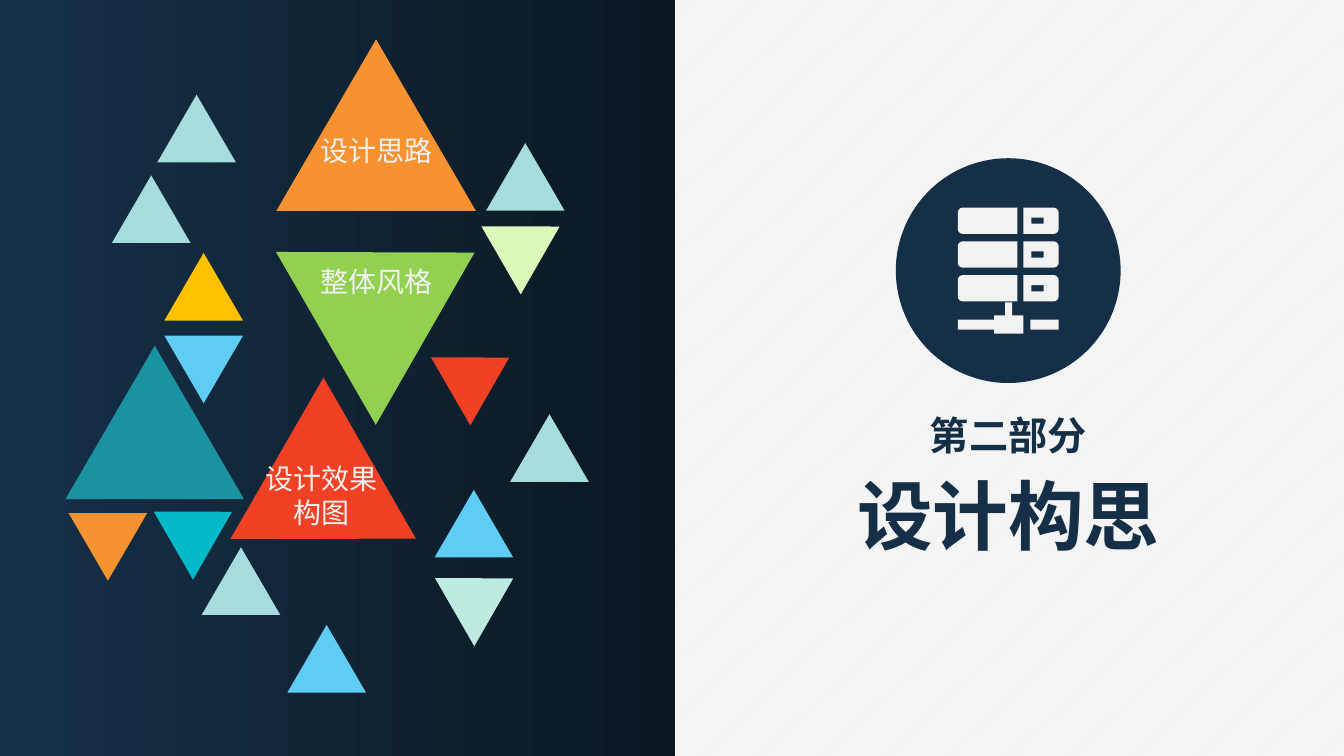
from math import cos, pi, sin

from lxml import etree
from pptx import Presentation
from pptx.dml.color import RGBColor
from pptx.enum.dml import MSO_PATTERN
from pptx.enum.shapes import MSO_SHAPE
from pptx.enum.text import MSO_ANCHOR, MSO_AUTO_SIZE, PP_ALIGN
from pptx.oxml.ns import qn
from pptx.util import Inches, Pt

RECT = MSO_SHAPE.RECTANGLE
OVAL = MSO_SHAPE.OVAL
TRI = MSO_SHAPE.ISOSCELES_TRIANGLE
HATCH = MSO_PATTERN.LIGHT_UPWARD_DIAGONAL
CENTER = PP_ALIGN.CENTER
TOP = MSO_ANCHOR.TOP
FIXED = MSO_AUTO_SIZE.NONE

FONT = "Noto Sans CJK SC"
NAVY = "152F47"
PALE = "F2F2F2"
MIST = "A7DCDE"
SKY = "5ECCF3"
AMBER = "F69230"
RED = "F14124"
SMALL = 0.78
RATIO = 0.86

TILES = [
    (1.11, 1.74, SMALL, 0, MIST),
    (4.82, 1.42, SMALL, 0, MIST),
    (4.41, 5.57, SMALL, 60, "BEEBDF"),
    (0.65, 3.43, 1.77, 0, "1A92A2"),
    (2.0, 5.43, SMALL, 0, MIST),
    (2.85, 6.2, SMALL, 0, SKY),
    (2.74, 0.39, 1.98, 0, AMBER),
    (1.56, 0.94, SMALL, 0, MIST),
    (2.98, 2.08, 1.98, 60, "92D050"),
    (4.87, 2.08, SMALL, 60, "DCF7BA"),
    (1.62, 4.91, SMALL, 60, "05BAC8"),
    (0.68, 5.09, SMALL, 180, AMBER),
    (1.63, 2.51, SMALL, 0, "FFC000"),
    (1.63, 3.33, SMALL, 180, SKY),
    (4.37, 3.38, SMALL, 60, RED),
    (2.51, 4.15, 1.85, 120, RED),
    (5.06, 4.11, SMALL, 0, MIST),
    (4.31, 4.86, SMALL, 0, SKY),
]

LABELS = [
    (3.08, 1.28, 0.44, ["设计思路"]),
    (3.08, 2.57, 0.44, ["整体风格"]),
    (2.53, 4.53, 0.77, ["设计效果", "构图"]),
]


def paint(color, tint):
    color.rgb = RGBColor.from_string(tint)


def plain(shape, tint):
    shape.shadow.inherit = False
    shape.line.fill.background()
    shape.fill.solid()
    paint(shape.fill.fore_color, tint)


def place(shape, x, y, w, h):
    shape.left, shape.top = Inches(x), Inches(y)
    shape.width, shape.height = Inches(w), Inches(h)


def write(shape, lines, size, tint, bold=False):
    frame = shape.text_frame
    frame.word_wrap = False
    frame.auto_size = FIXED
    frame.vertical_anchor = TOP
    frame.margin_left = frame.margin_right = 0
    for i, text in enumerate(lines):
        para = frame.add_paragraph() if i else frame.paragraphs[0]
        para.alignment = CENTER
        para.space_before = Pt(0)
        run = para.add_run()
        run.text = text
        font = run.font
        font.size, font.bold, font.name = Pt(size), bold, FONT
        paint(font.color, tint)
        east = etree.SubElement(run._r.get_or_add_rPr(), qn("a:ea"))
        east.set("typeface", FONT)


def panel(slide, x, y, w, h):
    shapes = slide.shapes
    back = shapes.add_shape(RECT, Inches(x), Inches(y), Inches(w), Inches(h))
    plain(back, NAVY)
    back.fill.gradient()
    back.fill.gradient_angle = 0
    for stop, tint in zip(back.fill.gradient_stops, ("163048", "0A1721")):
        paint(stop.color, tint)
    for dx, dy, side, turn, tint in TILES:
        tile = shapes.add_shape(TRI, Inches(x + dx), Inches(y + dy),
                                Inches(side), Inches(side * RATIO))
        plain(tile, tint)
        tile.rotation = turn
    for dx, dy, high, lines in LABELS:
        label = shapes.add_textbox(Inches(x + dx), Inches(y + dy), Inches(1.31), Inches(high))
        write(label, lines, 20, PALE)


def block(x, y, w, h):
    return [(x, y), (x + w, y), (x + w, y + h), (x, y + h)]


def curved(x, y, w, h, r=0.05):
    arcs = []
    for cy, start in ((y + r, -pi / 2), (y + h - r, 0)):
        for k in range(7):
            turn = start + k * pi / 12
            arcs.append((x + w - r + r * cos(turn), cy + r * sin(turn)))
    return [(x, y)] + arcs + [(x, y + h)]


def server(slide, x, y):
    parts = [
        [(0.47, 0.94), (0.54, 0.94), (0.54, 1.07), (0.65, 1.07),
         (0.65, 1.25), (0.36, 1.25), (0.36, 1.21), (0, 1.21),
         (0, 1.11), (0.36, 1.11), (0.36, 1.07), (0.47, 1.07)],
        block(0.72, 1.11, 0.28, 0.1),
    ]
    for i in range(3):
        top = i * 0.67 / 2
        left = [(0.59 - px, py) for px, py in curved(0, top, 0.59, 0.26)]
        slot = block(0.73, top + 0.1, 0.12, 0.06)
        parts += [left[::-1], curved(0.65, top, 0.35, 0.26), slot[::-1]]
    pen = None
    for part in parts:
        points = [(Inches(x + px), Inches(y + py)) for px, py in part]
        if pen is None:
            pen = slide.shapes.build_freeform(*points[0])
        else:
            pen.move_to(*points[0])
        pen.add_line_segments(points[1:], close=True)
    plain(pen.convert_to_shape(), PALE)


def section(slide, x, y, w):
    mid = x + w / 2
    size = 2.23
    disc = slide.shapes.add_shape(OVAL, Inches(mid - size / 2), Inches(y),
                                  Inches(size), Inches(size))
    plain(disc, NAVY)
    server(slide, mid - 0.5, y + 0.49)
    title, part = slide.shapes.title, slide.placeholders[1]
    place(part, mid - 0.88, y + 2.46, 1.76, 0.57)
    write(part, ["第二部分"], 28, NAVY, True)
    place(title, mid - 1.6, y + 3.03, 3.2, 1.01)
    write(title, ["设计构思"], 54, NAVY, True)


def main():
    deck = Presentation()
    deck.slide_width, deck.slide_height = Inches(13.33), Inches(7.5)
    slide = deck.slides.add_slide(deck.slide_layouts[2])
    fill = slide.background.fill
    fill.patterned()
    fill.pattern = HATCH
    paint(fill.fore_color, "FFFFFF")
    paint(fill.back_color, PALE)
    panel(slide, 0, 0, 6.69, 7.5)
    section(slide, 6.69, 1.57, 6.62)
    deck.save("out.pptx")


if __name__ == "__main__":
    main()
